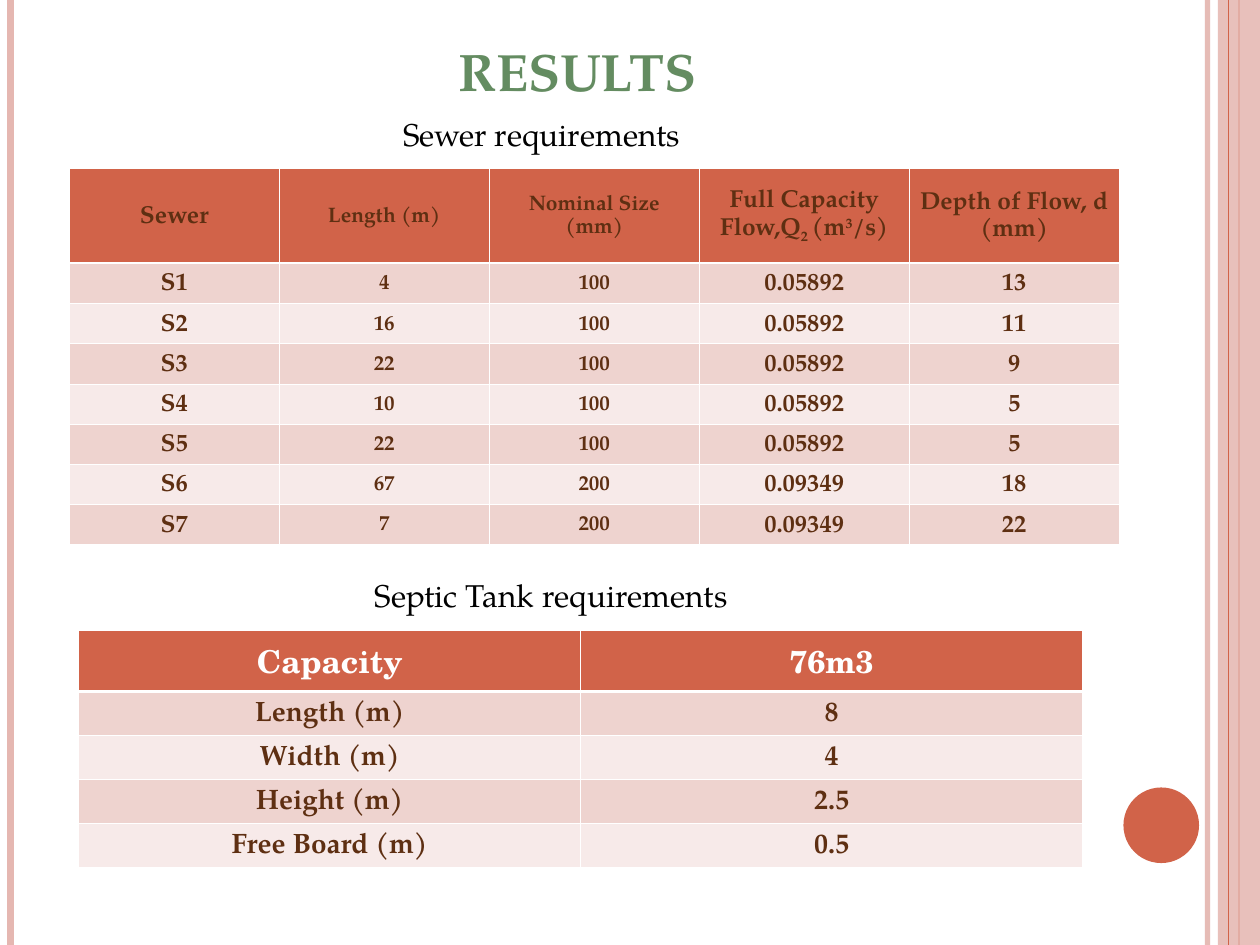
import pptx
import pptx.util
import pptx.dml.color
import pptx.enum.shapes
import pptx.enum.text
import pptx.oxml
import pptx.oxml.ns

Pt = pptx.util.Pt
Shape = pptx.enum.shapes.MSO_SHAPE
Align = pptx.enum.text.PP_ALIGN
Anchor = pptx.enum.text.MSO_ANCHOR

COLORS = {
    "rust": "D16349", "pink": "E5B7B1", "green": "648C61", "brown": "5E2F12",
    "band": "EED3CF", "pale": "F7EAE9", "white": "FFFFFF", "black": "000000",
}
WIDE, HIGH = 720, 540


def rgb(name):
    return pptx.dml.color.RGBColor.from_string(COLORS[name])


def node(tag, **attrs):
    item = pptx.oxml.parse_xml(f"<a:{tag} {pptx.oxml.ns.nsdecls('a')}/>")
    for key, value in attrs.items():
        item.set(key, str(value))
    return item


def write(frame, text, size=18, color="black", bold=False,
          face="TeX Gyre Pagella", space=None, after=None):
    """Fill a frame with centred text; a list holds (text, baseline) pairs."""
    para = frame.paragraphs[0]
    para.alignment = Align.CENTER
    if space:
        para.line_spacing = space
    if after:
        para.space_after = Pt(after)
    for part, base in [(text, 0)] if isinstance(text, str) else text:
        run = para.add_run()
        run.text = part
        font = run.font
        font.name, font.size, font.bold = face, Pt(size), bold
        font.color.rgb = rgb(color)
        if base:
            run._r.get_or_add_rPr().set("baseline", str(base * 1000))


def fade(fill, percent):
    tint = fill._xPr.find(".//" + pptx.oxml.ns.qn("a:srgbClr"))
    tint.append(node("alpha", val=percent * 1000))


class Deck:
    def __init__(self):
        self.show = pptx.Presentation()
        self.show.slide_width, self.show.slide_height = Pt(WIDE), Pt(HIGH)
        self.slide = self.show.slides.add_slide(self.show.slide_layouts[5])
        self.shapes = self.slide.shapes

    def title(self, text, left, top, width, height):
        box = self.shapes.title
        box.left, box.top, box.width, box.height = map(
            Pt, (left, top, width, height))
        frame = box.text_frame
        frame.auto_size = pptx.enum.text.MSO_AUTO_SIZE.NONE
        frame.vertical_anchor = Anchor.BOTTOM
        frame.margin_left = frame.margin_right = 0
        frame.margin_top = frame.margin_bottom = 0
        write(frame, text, size=30, color="green", bold=True)

    def label(self, text, left, top):
        box = self.shapes.add_textbox(*map(Pt, (left, top, 540, 29)))
        box.text_frame.word_wrap = True
        write(box.text_frame, text)

    def rule(self, x, color, width, alpha=None):
        line = self.shapes.add_connector(
            pptx.enum.shapes.MSO_CONNECTOR.STRAIGHT, Pt(x), 0, Pt(x), Pt(HIGH))
        line.line.color.rgb = rgb(color)
        line.line.width = Pt(width)
        if alpha:
            fade(line.line.fill, alpha)
        line._element.spPr.append(node("effectLst"))

    def block(self, kind, left, top, width, height, color, alpha=None):
        item = self.shapes.add_shape(kind, *map(Pt, (left, top, width, height)))
        item.shadow.inherit = False
        item.fill.solid()
        item.fill.fore_color.rgb = rgb(color)
        item.line.fill.background()
        if alpha:
            fade(item.fill, alpha)

    def edge(self, cell, row):
        # The line under the header is thicker than the rest
        props = cell._tc.get_or_add_tcPr()
        thick = {"T": row == 1, "B": row == 0}
        for spot, side in enumerate("LRTB"):
            width = 1.47 if thick.get(side) else 0.45
            line = node(f"ln{side}", w=Pt(width))
            fill = node("solidFill")
            fill.append(node("srgbClr", val=COLORS["white"]))
            line.append(fill)
            props.insert(spot, line)

    def table(self, rows, left, top, width, heights, style):
        """Draw rows; style(row, col) gives the text format of a cell."""
        count = len(rows[0])
        grid = self.shapes.add_table(
            len(rows), count, Pt(left), Pt(top), Pt(width), Pt(sum(heights))).table
        for col in grid.columns:
            col.width = Pt(width / count)
        for r, texts in enumerate(rows):
            grid.rows[r].height = Pt(heights[r])
            for c, text in enumerate(texts):
                cell = grid.cell(r, c)
                look = style(r, c)
                side = look.pop("side", 5.4)
                cell.margin_left = cell.margin_right = Pt(side)
                cell.margin_top = cell.margin_bottom = Pt(3.6)
                cell.vertical_anchor = look.pop("anchor", Anchor.MIDDLE)
                cell.fill.solid()
                shade = "rust" if r == 0 else "band" if r % 2 else "pale"
                cell.fill.fore_color.rgb = rgb(shade)
                self.edge(cell, r)
                write(cell.text_frame, text, bold=True, **look)


def sewer(row, col):
    look = {"size": 14, "color": "brown", "space": 1.15, "after": 10}
    if col in (1, 2):
        look.update(size=12, side=5)
    if (row == 0 and col > 2) or (row > 0 and col == 1):
        look["after"] = None
    return look


def tank(row, col):
    if row == 0:
        return {"color": "white", "face": "TeX Gyre Schola",
                "side": 7.2, "anchor": Anchor.TOP}
    return {"size": 16, "color": "brown", "space": 1.15, "after": 10}


def main():
    deck = Deck()

    # Side stripes and dot
    deck.rule(690, "pink", 3, 93)
    deck.rule(6, "pink", 4.5)
    deck.rule(708, "rust", 1.5)
    deck.block(Shape.RECTANGLE, 696, 0, 24, HIGH, "pink", 87)
    deck.rule(702, "rust", 0.75)
    deck.block(Shape.OVAL, 642, 450, 43.2, 43.2, "rust")

    deck.title("RESULTS", 36, 21.6, 588, 36.6)

    # Sewer table
    flow = [("Full Capacity Flow,Q", 0), ("2 ", -25), ("(m", 0), ("3", 30), ("/s)", 0)]
    sewers = [
        ("Sewer", "Length (m)", "Nominal Size (mm)", flow, "Depth of Flow, d (mm)"),
        ("S1", "4", "100", "0.05892", "13"),
        ("S2", "16", "100", "0.05892", "11"),
        ("S3", "22", "100", "0.05892", "9"),
        ("S4", "10", "100", "0.05892", "5"),
        ("S5", "22", "100", "0.05892", "5"),
        ("S6", "67", "200", "0.09349", "18"),
        ("S7", "7", "200", "0.09349", "22"),
    ]
    deck.table(sewers, 39.6, 96, 600, [54.5] + [21.9] * 7, sewer)

    # Septic tank table
    sizes = [
        ("Capacity", "76m3"),
        ("Length (m)", "8"),
        ("Width (m)", "4"),
        ("Height (m)", "2.5"),
        ("Free Board (m)", "0.5"),
    ]
    deck.table(sizes, 45, 360, 573.6, [25] * 5, tank)

    # Table headings
    deck.label("Sewer requirements", 39.6, 62)
    deck.label("Septic Tank requirements", 45, 325.5)

    deck.show.save("out.pptx")


if __name__ == "__main__":
    main()
